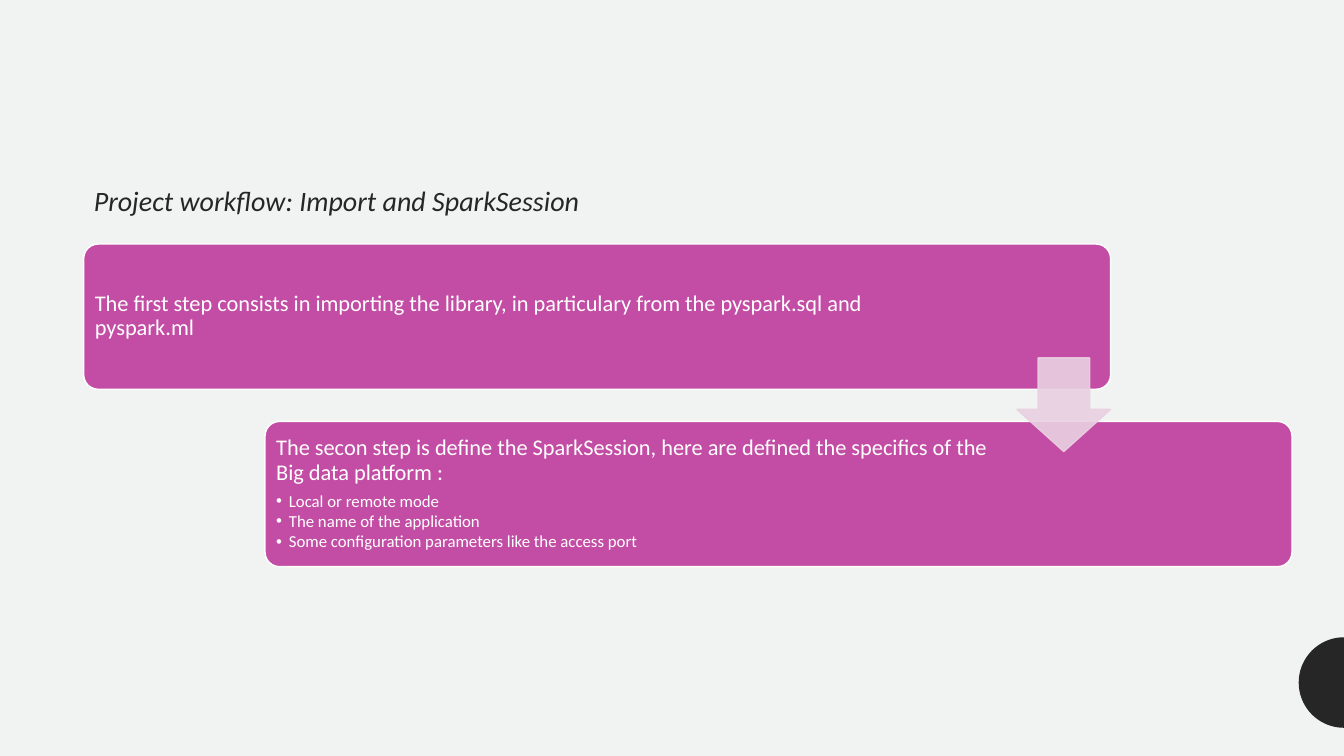
import dataclasses
import math
import typing

import lxml.etree
import pptx
import pptx.dml.color
import pptx.enum.shapes
import pptx.enum.text
import pptx.oxml.ns
import pptx.util

Cm = pptx.util.Cm


@dataclasses.dataclass(frozen=True)
class Theme:
    background: str = "F0F3F1"
    dark: str = "262626"
    accent: str = "C34DA5"
    arrow: str = "E9D0E1"
    light: str = "FFFFFF"
    font: str = "Calibri"
    title_size: float = 20
    step_size: float = 16
    bullet_size: float = 12


@dataclasses.dataclass(frozen=True)
class Step:
    text: str
    text_width: float
    bullets: tuple[str, ...] = ()


THEME = Theme()
SLIDE_WIDTH, SLIDE_HEIGHT = 33.87, 19.05
LEFT, STEPS_TOP = 2.11, 6.15
STEP_WIDTH, STEP_HEIGHT = 25.88, 3.66
SHIFT_X, SHIFT_Y = 4.57, 4.47
TEXT_MARGIN = 0.11

STEPS = (
    Step("The first step consists in importing the library, in particulary "
         "from the pyspark.sql and pyspark.ml", 22.12),
    Step("The secon step is define the SparkSession, here are defined the "
         "specifics of the Big data platform :", 18.75,
         ("Local or remote mode",
          "The name of the application",
          "Some configuration parameters like the access port")),
)


def color(value: str) -> pptx.dml.color.RGBColor:
    return pptx.dml.color.RGBColor.from_string(value)


def add_child(parent: typing.Any, tag: str, **attributes: str) -> None:
    lxml.etree.SubElement(parent, pptx.oxml.ns.qn(tag), attributes)


def place(shape: typing.Any, left: float, top: float,
          width: float, height: float) -> None:
    shape.left, shape.top = Cm(left), Cm(top)
    shape.width, shape.height = Cm(width), Cm(height)


def paint(shape: typing.Any, fill: str, line: str | None = None,
          opacity: int = 100) -> None:
    shape.shadow.inherit = False
    shape.fill.solid()
    shape.fill.fore_color.rgb = color(fill)
    if line is None:
        shape.line.fill.background()
    else:
        shape.line.color.rgb = color(line)
        shape.line.width = pptx.util.Pt(1)
    if opacity < 100:
        for element in shape.element.spPr.iter(pptx.oxml.ns.qn("a:srgbClr")):
            add_child(element, "a:alpha", val=str(opacity * 1000))


def prepare_frame(shape: typing.Any, inset: float | None = None) -> typing.Any:
    frame = shape.text_frame
    frame.word_wrap = True
    frame.auto_size = pptx.enum.text.MSO_AUTO_SIZE.NONE
    frame.vertical_anchor = pptx.enum.text.MSO_ANCHOR.MIDDLE
    if inset is not None:
        frame.margin_left = frame.margin_right = Cm(inset)
        frame.margin_top = frame.margin_bottom = Cm(inset)
    return frame


def write(paragraph: typing.Any, text: str, *, size: float, fill: str,
          italic: bool = False, spacing: float = 0.9, before: float = 0,
          after: float = 0, bullet: bool = False) -> None:
    run = paragraph.add_run()
    run.text = text
    run.font.name = THEME.font
    run.font.size = pptx.util.Pt(size)
    run.font.italic = italic
    run.font.color.rgb = color(fill)
    paragraph.alignment = pptx.enum.text.PP_ALIGN.LEFT
    paragraph.line_spacing = spacing
    paragraph.space_before = pptx.util.Pt(before)
    paragraph.space_after = pptx.util.Pt(after)
    paragraph.level = 1 if bullet else 0
    indent = Cm(0.32) if bullet else 0
    properties = paragraph._p.get_or_add_pPr()
    properties.set("marL", str(indent))
    properties.set("indent", str(-indent))
    if bullet:
        add_child(properties, "a:buChar", char="•")
    else:
        add_child(properties, "a:buNone")


def add_half_disc(slide: typing.Any, center_y: float, radius: float) -> None:
    angles = [math.pi * (0.5 + step / 48) for step in range(49)]
    points = [(Cm(SLIDE_WIDTH + radius * math.cos(angle)),
               Cm(center_y - radius * math.sin(angle))) for angle in angles]
    builder = slide.shapes.build_freeform(*points[0])
    builder.add_line_segments(points[1:], close=True)
    paint(builder.convert_to_shape(), THEME.dark)


def add_step(slide: typing.Any, index: int, step: Step,
             body: typing.Any) -> None:
    left, top = LEFT + index * SHIFT_X, STEPS_TOP + index * SHIFT_Y
    box = slide.shapes.add_shape(
        pptx.enum.shapes.MSO_SHAPE.ROUNDED_RECTANGLE,
        Cm(left), Cm(top), Cm(STEP_WIDTH), Cm(STEP_HEIGHT))
    box.adjustments[0] = 0.1
    paint(box, THEME.accent, THEME.light)

    # The step with a list uses the body placeholder, raised above its box
    if step.bullets:
        holder = body
        holder.element.getparent().append(holder.element)
    else:
        holder = slide.shapes.add_textbox(0, 0, 0, 0)
    place(holder, left + TEXT_MARGIN, top + TEXT_MARGIN,
          step.text_width, STEP_HEIGHT - 2 * TEXT_MARGIN)
    frame = prepare_frame(holder, inset=0.17)
    write(frame.paragraphs[0], step.text, size=THEME.step_size,
          fill=THEME.light, after=5.6)
    for text in step.bullets:
        write(frame.add_paragraph(), text, size=THEME.bullet_size,
              fill=THEME.light, after=1.5, bullet=True)


def main() -> None:
    presentation = pptx.Presentation()
    presentation.slide_width = Cm(SLIDE_WIDTH)
    presentation.slide_height = Cm(SLIDE_HEIGHT)
    slide = presentation.slides.add_slide(presentation.slide_layouts[1])
    slide.background.fill.solid()
    slide.background.fill.fore_color.rgb = color(THEME.background)

    # Corner decoration
    add_half_disc(slide, center_y=17.2, radius=1.14)

    # Title
    title = slide.shapes.title
    place(title, LEFT, 3.86, 29.64, 2.29)
    write(prepare_frame(title).paragraphs[0],
          "Project workflow: Import and SparkSession",
          size=THEME.title_size, fill=THEME.dark, italic=True,
          spacing=1.1, before=4, after=4)

    # Staggered steps
    body = slide.placeholders[1]
    for index, step in enumerate(STEPS):
        add_step(slide, index, step, body)

    # Arrow from the first step to the second
    arrow = slide.shapes.add_shape(
        pptx.enum.shapes.MSO_SHAPE.DOWN_ARROW,
        Cm(25.63), Cm(9.02), Cm(2.36), Cm(2.36))
    arrow.adjustments[0], arrow.adjustments[1] = 0.55, 0.45
    paint(arrow, THEME.arrow, THEME.arrow, opacity=90)

    presentation.save("out.pptx")


if __name__ == "__main__":
    main()
